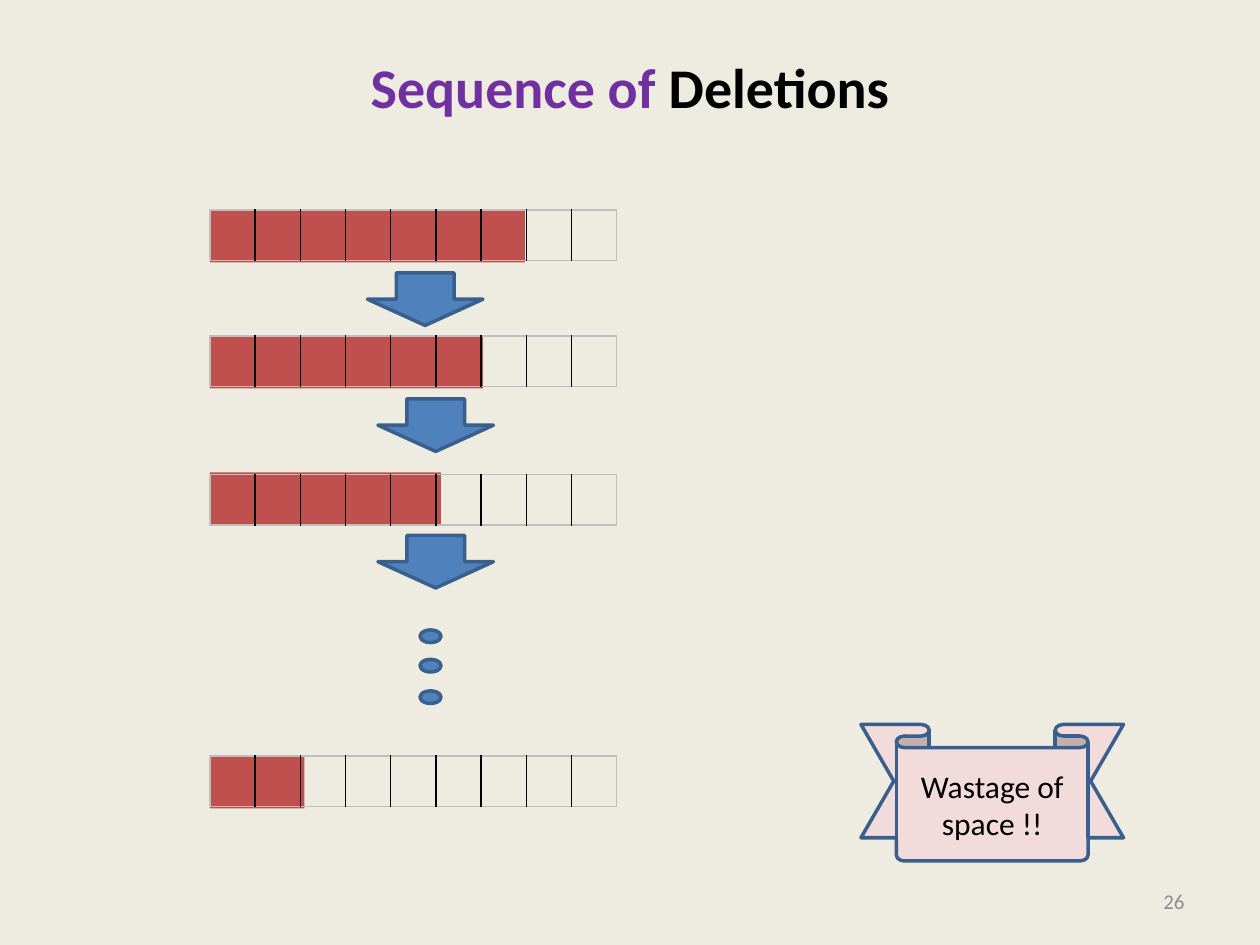
"""Build the slide on a sequence of deletions that wastes array space."""
from lxml.etree import SubElement
from pptx import Presentation
from pptx.dml.color import RGBColor
from pptx.enum.shapes import MSO_SHAPE as Shape
from pptx.enum.text import MSO_ANCHOR as Anchor, PP_ALIGN as Align
from pptx.oxml.ns import qn
from pptx.util import Inches, Pt

RED, BLUE, NAVY, PINK = "C0504D", "4F81BD", "3A5F8C", "F2DCDB"
BLACK, PURPLE, GREY, EDGE = "000000", "7030A0", "8C8C8C", "BFBFBF"
CELLS = 9

presentation = Presentation()
presentation.slide_width, presentation.slide_height = Inches(10), Inches(7.5)
UNIT = presentation.slide_width / 120
slide = presentation.slides.add_slide(presentation.slide_layouts[6])
slide.background.fill.solid()
slide.background.fill.fore_color.rgb = RGBColor.from_string("EEECE1")


def add_figure(shapes, kind, box, fill, line=None):
    """Add a filled preset shape placed in grid units."""
    shape = shapes.add_shape(kind, *(round(value * UNIT) for value in box))
    shape.shadow.inherit = False
    shape.fill.solid()
    shape.fill.fore_color.rgb = RGBColor.from_string(fill)
    if line:
        shape.line.color.rgb = RGBColor.from_string(line)
        shape.line.width = Pt(2)
    else:
        shape.line.fill.background()
    return shape


def write(shape, runs, align, anchor, **font):
    """Write coloured runs as one paragraph."""
    frame = shape.text_frame
    frame.word_wrap = True
    frame.vertical_anchor = anchor
    paragraph = frame.paragraphs[0]
    paragraph.alignment = align
    for text, color in runs:
        run = paragraph.add_run()
        run.text = text
        run.font.color.rgb = RGBColor.from_string(color)
        for name, value in {"name": "Calibri", **font}.items():
            setattr(run.font, name, value)


title = slide.shapes.add_textbox(*(round(value * UNIT) for value in (6, 3.6, 108, 15)))
title.text_frame.margin_top = Inches(0.12)
write(title, [("Sequence of ", PURPLE), ("Deletions", BLACK)],
      Align.CENTER, Anchor.TOP, size=Pt(32), bold=True)

number = slide.shapes.add_textbox(*(round(value * UNIT) for value in (86, 83.4, 28, 4.8)))
write(number, [("26", GREY)], Align.RIGHT, Anchor.MIDDLE, size=Pt(12))

for bar_top, bar_width, table_top in ((20, 30, 20), (32, 26, 32), (45, 22, 45.2), (72, 9, 72)):
    add_figure(slide.shapes, Shape.RECTANGLE, (20, bar_top, bar_width, 5), RED)
    box = (20, table_top, 38.76, 4.8)
    table = slide.shapes.add_table(1, CELLS, *(round(value * UNIT) for value in box)).table
    table.first_row = table.horz_banding = False
    for index, cell in enumerate(table.rows[0].cells):
        properties = cell._tc.get_or_add_tcPr()
        sides = {
            "a:lnL": BLACK if index else EDGE,
            "a:lnR": BLACK if index < CELLS - 1 else EDGE,
            "a:lnT": EDGE,
            "a:lnB": EDGE,
        }
        for side, color in sides.items():
            border = SubElement(properties, qn(side), w=str(Pt(1)))
            solid = SubElement(border, qn("a:solidFill"))
            SubElement(solid, qn("a:srgbClr"), val=color)
        cell.fill.background()

for left, top in ((35, 26), (36, 38), (36, 51)):
    add_figure(slide.shapes, Shape.DOWN_ARROW, (left, top, 11, 5), BLUE, NAVY)

dots = slide.shapes.add_group_shape()
for top in (60, 62.8, 65.8):
    add_figure(dots.shapes, Shape.OVAL, (40, top, 2, 1.2), BLUE, NAVY)

ribbon = add_figure(slide.shapes, Shape.DOWN_RIBBON, (82, 69, 25, 13), PINK, NAVY)
ribbon.adjustments[0], ribbon.adjustments[1] = 0.17, 0.73
write(ribbon, [("Wastage of space !!", BLACK)], Align.CENTER, Anchor.MIDDLE, size=Pt(18))

presentation.save("out.pptx")
